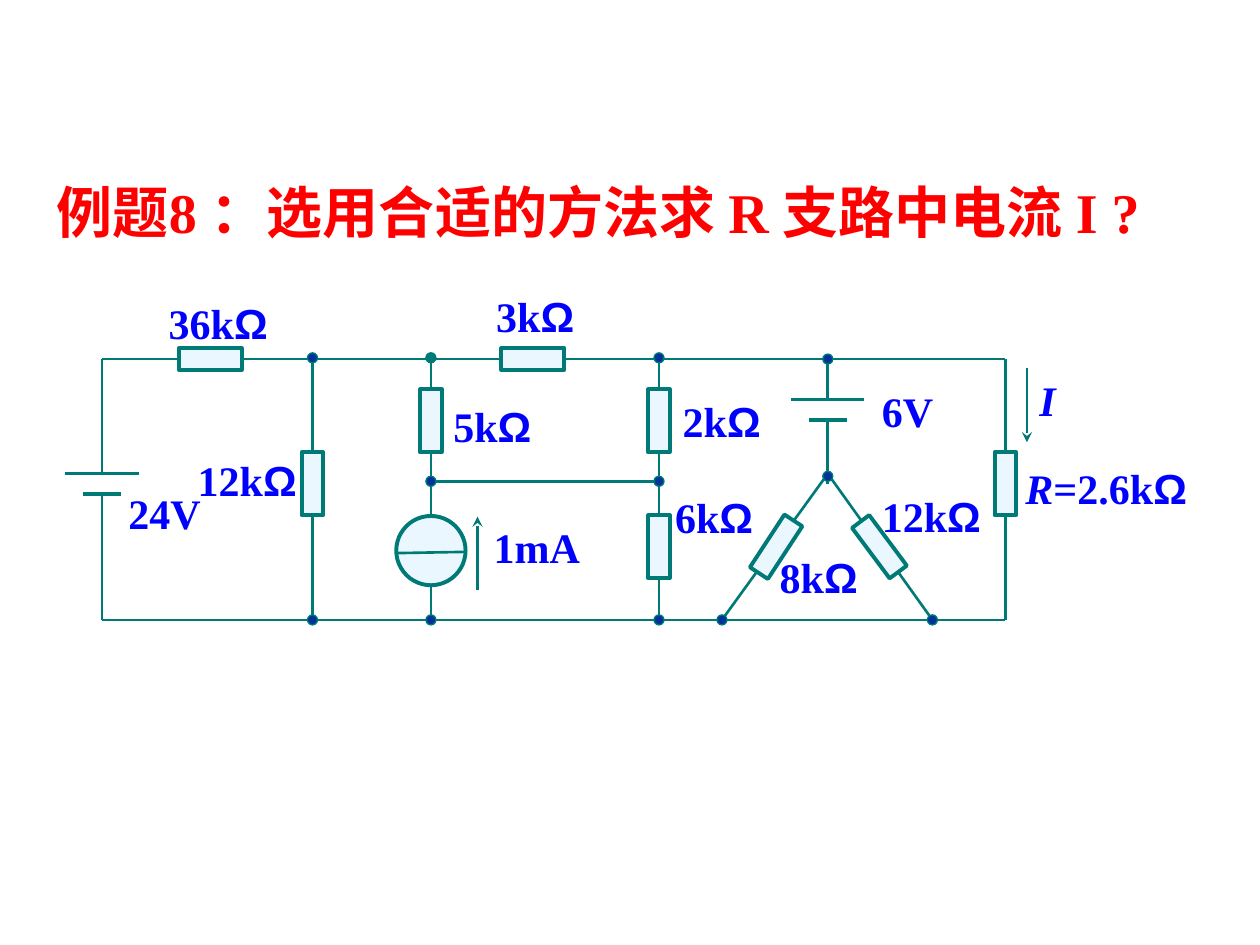
from lxml import etree
from pptx import Presentation
from pptx.dml.color import RGBColor
from pptx.enum.shapes import MSO_CONNECTOR as Connector, MSO_SHAPE as Shape
from pptx.enum.text import MSO_ANCHOR as Anchor, MSO_AUTO_SIZE as AutoSize, PP_ALIGN as Align
from pptx.oxml.ns import qn
from pptx.util import Inches, Pt

COLORS = {"title": "FF0000", "label": "0000FF", "wire": "007A77", "body": "EBF7FF", "node": "003399"}
TOP, MIDDLE, BOTTOM = 2.85, 3.82, 4.92
SOURCE_X, LOAD_X, BRIDGE_X, BRIDGE_Y = 0.81, 7.98, 6.57, 3.76
BRANCHES = (2.48, 3.42, 5.23)
BRIDGE_FEET = (5.73, 7.4)
LABEL_HEIGHT = 0.5
RESISTOR_LENGTH, RESISTOR_WIDTH, NODE_SIZE, SOURCE_SIZE = 0.5, 0.17, 0.08, 0.55
PLATE_GAP = 0.16

VERTICAL_RESISTORS = [(2.48, 3.84, 0), (3.42, 3.34, 0), (5.23, 3.34, 0), (5.23, 4.34, 0), (7.98, 3.84, 0)]
HORIZONTAL_RESISTORS = [(1.67, TOP, 90), (4.23, TOP, 90)]
SLANTED_RESISTORS = [(6.16, 4.34, 33.2), (6.98, 4.34, 323.3)]
LABELS = [
    ("24V", 0.92, 3.82, 0.83),
    ("36kΩ", 1.24, 2.31, 1.09),
    ("12kΩ", 1.47, 3.56, 1.02),
    ("5kΩ", 3.5, 3.13, 0.87),
    ("3kΩ", 3.84, 2.26, 0.86),
    ("2kΩ", 5.32, 3.09, 0.93),
    ("6kΩ", 5.26, 3.85, 0.87),
    ("8kΩ", 6.09, 4.33, 0.94),
    ("12kΩ", 6.9, 3.84, 1.05),
    ("R=2.6kΩ", 8.04, 3.62, 1.52),
    ("I", 8.15, 2.92, 0.45),
    ("6V", 6.9, 3.01, 1),
    ("1mA", 3.82, 4.09, 1.09),
]


def rgb(name):
    return RGBColor.from_string(COLORS[name])


def write_text(frame, text, size=24, color="label", italic=""):
    frame.word_wrap = True
    frame.auto_size = AutoSize.NONE
    frame.vertical_anchor = Anchor.TOP
    paragraph = frame.paragraphs[0]
    paragraph.alignment = Align.LEFT
    value, ohm, _ = text.removeprefix(italic).partition("Ω")
    for part, font_name in ((italic, "Times New Roman"), (value, "Times New Roman"), (ohm, "Arial")):
        if part:
            run = paragraph.add_run()
            run.text = part
            run.font.name = font_name
            run.font.size = Pt(size)
            run.font.bold = True
            run.font.italic = part == italic
            run.font.color.rgb = rgb(color)


def add_title(slide, text):
    title = slide.shapes.title
    title.left, title.top = Inches(0.35), Inches(1.36)
    title.width, title.height = Inches(9.42), Inches(1.17)
    write_text(title.text_frame, text, size=32, color="title")


def add_label(slide, text, left, top, width):
    label = slide.shapes.add_textbox(Inches(left), Inches(top), Inches(width), Inches(LABEL_HEIGHT))
    write_text(label.text_frame, text, italic=text[0] if text[0] in "RI" else "")


def add_wire(slide, start, end, weight=1.5, arrow=False):
    wire = slide.shapes.add_connector(Connector.STRAIGHT, *map(Inches, (*start, *end)))
    wire.line.color.rgb = rgb("wire")
    wire.line.width = Pt(weight)
    if arrow:
        etree.SubElement(wire.line._get_or_add_ln(), qn("a:tailEnd"), type="stealth")
    etree.SubElement(wire._element.spPr, qn("a:effectLst"))


def add_part(slide, kind, center, width, height, fill="body", weight=2.25, angle=0):
    x, y = center
    part = slide.shapes.add_shape(
        kind, Inches(x - width / 2), Inches(y - height / 2), Inches(width), Inches(height))
    part.rotation = angle
    part.shadow.inherit = False
    part.fill.solid()
    part.fill.fore_color.rgb = rgb(fill)
    part.line.color.rgb = rgb("wire")
    part.line.width = Pt(weight)


def add_resistor(slide, x, y, angle):
    width, height = RESISTOR_WIDTH, RESISTOR_LENGTH
    if angle == 90:
        width, height, angle = height, width, 0
    add_part(slide, Shape.RECTANGLE, (x, y), width, height, angle=angle)


def add_node(slide, x, y, fill="node"):
    add_part(slide, Shape.OVAL, (x, y), NODE_SIZE, NODE_SIZE, fill=fill, weight=0.75)


def add_battery(slide, x, plate_y, end_y):
    short_y = plate_y + PLATE_GAP
    add_wire(slide, (x, TOP), (x, plate_y))
    add_wire(slide, (x - 0.29, plate_y), (x + 0.29, plate_y))
    add_wire(slide, (x - 0.15, short_y), (x + 0.15, short_y), weight=2.25)
    add_wire(slide, (x, short_y), (x, end_y))


def add_current_source(slide, x, y):
    add_part(slide, Shape.OVAL, (x, y), SOURCE_SIZE, SOURCE_SIZE)
    add_wire(slide, (x - SOURCE_SIZE / 2, y + 0.02), (x + SOURCE_SIZE / 2, y + 0.01))
    add_wire(slide, (3.79, 4.68), (3.79, 4.1), arrow=True)


def main():
    deck = Presentation()
    deck.slide_width, deck.slide_height = Inches(10), Inches(7.5)
    slide = deck.slides.add_slide(deck.slide_layouts[5])
    add_title(slide, "例题8 ：选用合适的方法求 R 支路中电流 I ?")

    for rail_y in (TOP, BOTTOM):
        add_wire(slide, (SOURCE_X, rail_y), (LOAD_X, rail_y))
    for branch_x in (*BRANCHES, LOAD_X):
        add_wire(slide, (branch_x, TOP), (branch_x, BOTTOM))
    add_wire(slide, (BRANCHES[1], MIDDLE), (BRANCHES[2], MIDDLE))
    for foot_x in BRIDGE_FEET:
        add_wire(slide, (BRIDGE_X, BRIDGE_Y), (foot_x, BOTTOM))
    add_battery(slide, SOURCE_X, 3.76, BOTTOM)
    add_battery(slide, BRIDGE_X, 3.17, 3.84)

    for x, y, angle in VERTICAL_RESISTORS + HORIZONTAL_RESISTORS + SLANTED_RESISTORS:
        add_resistor(slide, x, y, angle)
    add_current_source(slide, BRANCHES[1], 4.37)
    add_wire(slide, (8.15, 2.92), (8.15, 3.51), arrow=True)
    for label in LABELS:
        add_label(slide, *label)

    for branch_x in BRANCHES:
        add_node(slide, branch_x, TOP - 0.01, fill="wire" if branch_x == BRANCHES[1] else "node")
    for node_x in (*BRANCHES, *BRIDGE_FEET):
        add_node(slide, node_x, BOTTOM)
    for node_x in BRANCHES[1:]:
        add_node(slide, node_x, MIDDLE)
    for node_y in (TOP, 3.78):
        add_node(slide, BRIDGE_X, node_y)

    deck.save("out.pptx")


if __name__ == "__main__":
    main()
